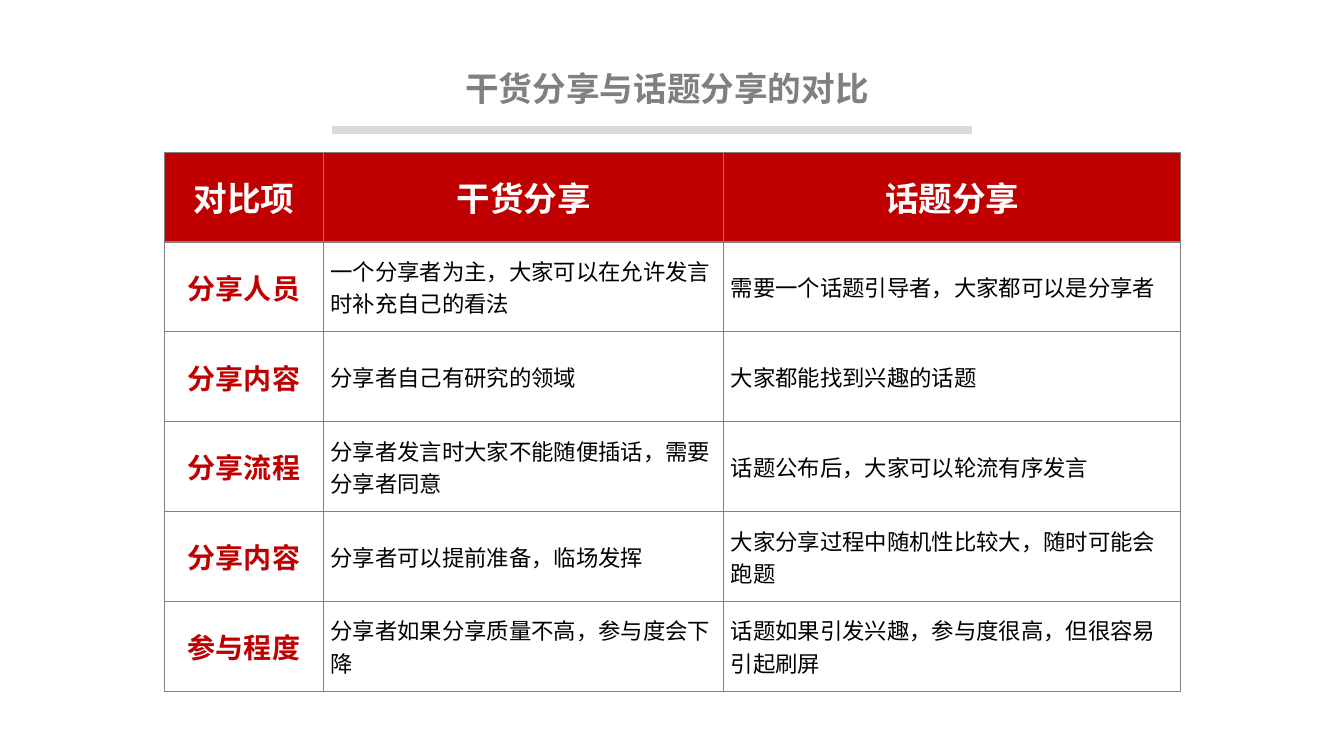
from lxml import etree
from pptx import Presentation
from pptx.dml.color import RGBColor
from pptx.enum.shapes import MSO_CONNECTOR
from pptx.enum.text import MSO_ANCHOR, PP_ALIGN
from pptx.oxml.ns import qn
from pptx.util import Pt

PX = 9144  # EMU per px, 100 px to the inch
LINE = MSO_CONNECTOR.STRAIGHT
MIDDLE = MSO_ANCHOR.MIDDLE
LEFT, CENTER = PP_ALIGN.LEFT, PP_ALIGN.CENTER

COLORS = {
    "red": "C00000",
    "white": "FFFFFF",
    "text": "000000",
    "gray": "808080",
    "rule": "D9D9D9",
}
LATIN, CJK = "Calibri", "Noto Sans CJK SC"

TITLE = "干货分享与话题分享的对比"
COL_WIDTHS = [158, 397, 453]
ROWS = [
    ["对比项", "干货分享", "话题分享"],
    ["分享人员", "一个分享者为主，大家可以在允许发言时补充自己的看法",
     "需要一个话题引导者，大家都可以是分享者"],
    ["分享内容", "分享者自己有研究的领域", "大家都能找到兴趣的话题"],
    ["分享流程", "分享者发言时大家不能随便插话，需要分享者同意",
     "话题公布后，大家可以轮流有序发言"],
    ["分享内容", "分享者可以提前准备，临场发挥",
     "大家分享过程中随机性比较大，随时可能会跑题"],
    ["参与程度", "分享者如果分享质量不高，参与度会下降",
     "话题如果引发兴趣，参与度很高，但很容易引起刷屏"],
]


def px(n):
    return n * PX


def rgb(name):
    return RGBColor.from_string(COLORS[name])


def add_text(tf, text, size, color, bold, align, font=LATIN):
    p = tf.paragraphs[0]
    p.alignment = align
    r = p.add_run()
    r.text = text
    r.font.size = Pt(size)
    r.font.bold = bold
    r.font.name = font
    r.font.color.rgb = rgb(color)
    etree.SubElement(r._r.get_or_add_rPr(), qn("a:ea"), typeface=CJK)


def add_borders(cell, color, width):
    """Draw all four cell edges; they must come before the fill in tcPr."""
    tcPr = cell._tc.get_or_add_tcPr()
    for i, side in enumerate(("lnL", "lnR", "lnT", "lnB")):
        ln = etree.Element(qn(f"a:{side}"), w=str(Pt(width)))
        fill = etree.SubElement(ln, qn("a:solidFill"))
        etree.SubElement(fill, qn("a:srgbClr"), val=COLORS[color])
        tcPr.insert(i, ln)


def add_title(slide, x, y, w, h):
    box = slide.shapes.add_textbox(px(x), px(y), px(w), px(h))
    tf = box.text_frame
    tf.word_wrap = True
    add_text(tf, TITLE, 24, "gray", True, CENTER, CJK)


def add_title_rule(slide, x, y, w):
    line = slide.shapes.add_connector(LINE, px(x), px(y), px(x + w), px(y))
    line.line.color.rgb = rgb("rule")
    line.line.width = Pt(6)
    etree.SubElement(line._element.spPr, qn("a:effectLst"))


def fill_cell(cell, text, is_header, is_label):
    cell.vertical_anchor = MIDDLE
    cell.margin_left = cell.margin_right = px(7)
    cell.margin_top = cell.margin_bottom = 0
    if is_header:
        cell.fill.solid()
        cell.fill.fore_color.rgb = rgb("red")
        add_text(cell.text_frame, text, 24, "white", True, CENTER)
    else:
        cell.fill.background()
        if is_label:
            add_text(cell.text_frame, text, 20, "red", True, CENTER)
        else:
            add_text(cell.text_frame, text, 16, "text", False, LEFT)
    add_borders(cell, "gray", 1)


def add_comparison(slide, x, y, w, h):
    frame = slide.shapes.add_table(len(ROWS), len(COL_WIDTHS),
                                   px(x), px(y), px(w), px(h))
    table = frame.table
    table.first_row = table.horz_banding = False
    for column, width in zip(table.columns, COL_WIDTHS):
        column.width = px(width)
    for i, row in enumerate(ROWS):
        for j, text in enumerate(row):
            fill_cell(table.cell(i, j), text, i == 0, j == 0)


def main():
    prs = Presentation()
    prs.slide_width, prs.slide_height = px(1333), px(750)
    slide = prs.slides.add_slide(prs.slide_layouts[6])
    add_comparison(slide, 163, 151, sum(COL_WIDTHS), 535)
    add_title(slide, 142, 62, 1039, 50)
    add_title_rule(slide, 329, 129, 635)
    prs.save("out.pptx")


if __name__ == "__main__":
    main()
